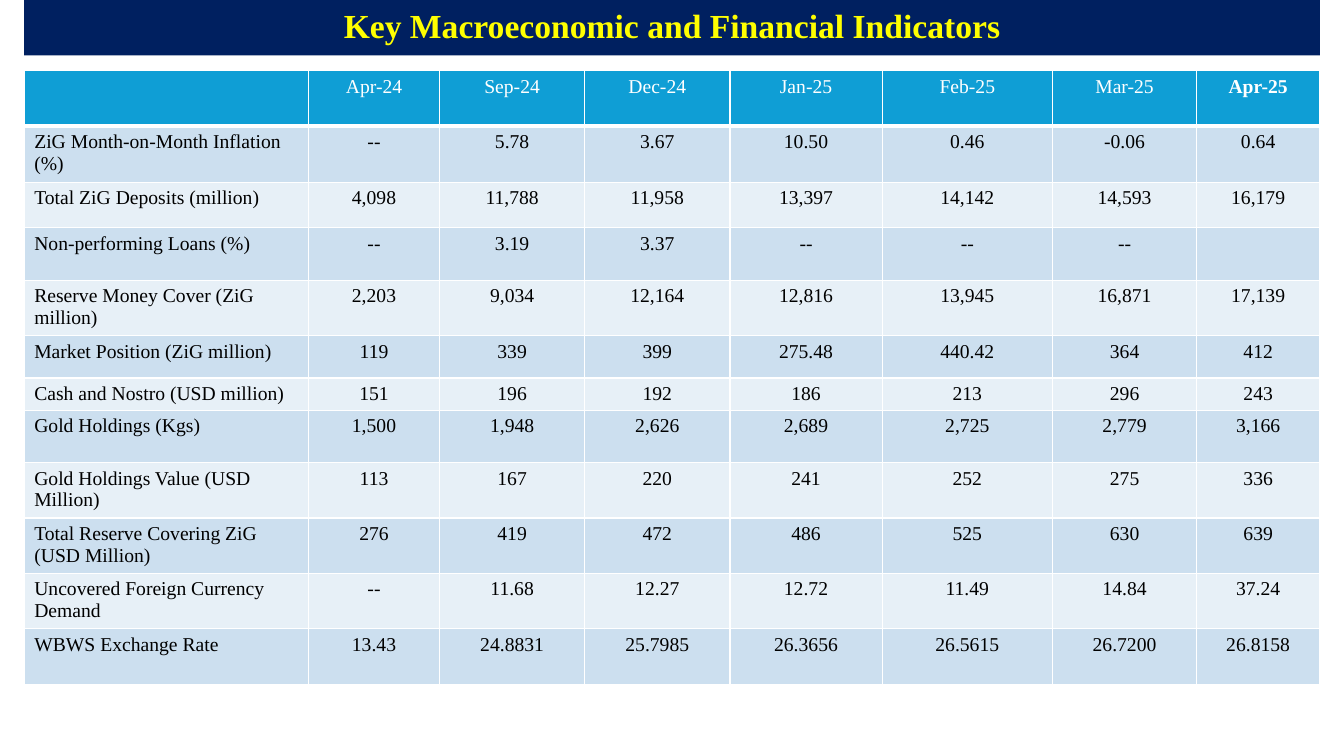
from dataclasses import dataclass

from lxml.etree import SubElement
from pptx import Presentation
from pptx.dml.color import RGBColor
from pptx.enum.shapes import MSO_SHAPE as Shape
from pptx.enum.text import MSO_ANCHOR as Anchor, PP_ALIGN as Align
from pptx.oxml.ns import qn
from pptx.util import Inches, Pt


@dataclass(frozen=True)
class Theme:
    font: str = "Times New Roman"
    title_size: int = 24
    table_size: int = 14
    title_fill: str = "002060"
    title_text: str = "FFFF00"
    header_fill: str = "0F9ED5"
    header_text: str = "FFFFFF"
    body_text: str = "000000"
    bands: tuple = ("CCDFEF", "E7F0F7")
    border: str = "FFFFFF"


LEFT, WIDTH = 0.24, 12.85
COLUMN_WIDTHS = [2.82, 1.3, 1.44, 1.44, 1.51, 1.69, 1.43, 1.22]
ROW_HEIGHTS = [0.55, 0.56, 0.45, 0.52, 0.55, 0.42, 0.32, 0.52, 0.55, 0.55, 0.55, 0.55]
INDICATORS = [
    ["", "Apr-24", "Sep-24", "Dec-24", "Jan-25", "Feb-25", "Mar-25", "Apr-25"],
    ["ZiG Month-on-Month Inflation (%)", "--", "5.78", "3.67", "10.50", "0.46", "-0.06", "0.64"],
    ["Total ZiG Deposits (million)", "4,098", "11,788", "11,958", "13,397", "14,142", "14,593", "16,179"],
    ["Non-performing Loans (%)", "--", "3.19", "3.37", "--", "--", "--", ""],
    ["Reserve Money Cover (ZiG million)", "2,203", "9,034", "12,164", "12,816", "13,945", "16,871", "17,139"],
    ["Market Position (ZiG million)", "119", "339", "399", "275.48", "440.42", "364", "412"],
    ["Cash and Nostro (USD million)", "151", "196", "192", "186", "213", "296", "243"],
    ["Gold Holdings (Kgs)", "1,500", "1,948", "2,626", "2,689", "2,725", "2,779", "3,166"],
    ["Gold Holdings Value (USD Million)", "113", "167", "220", "241", "252", "275", "336"],
    ["Total Reserve Covering ZiG (USD Million)", "276", "419", "472", "486", "525", "630", "639"],
    ["Uncovered Foreign Currency Demand", "--", "11.68", "12.27", "12.72", "11.49", "14.84", "37.24"],
    ["WBWS Exchange Rate", "13.43", "24.8831", "25.7985", "26.3656", "26.5615", "26.7200", "26.8158"],
]


class SlideBuilder:
    def __init__(self, slide, theme):
        self.slide = slide
        self.theme = theme

    def add_run(self, paragraph, text, size, color, bold=False):
        run = paragraph.add_run()
        run.text = text
        run.font.name = self.theme.font
        run.font.size = Pt(size)
        run.font.bold = bold
        run.font.color.rgb = RGBColor.from_string(color)

    def add_title(self, text, left, top, width, height):
        theme = self.theme
        banner = self.slide.shapes.add_shape(
            Shape.RECTANGLE, Inches(left), Inches(top), Inches(width), Inches(height))
        banner.shadow.inherit = False
        banner.fill.solid()
        banner.fill.fore_color.rgb = RGBColor.from_string(theme.title_fill)
        banner.line.fill.background()
        banner.text_frame.word_wrap = True
        banner.text_frame.vertical_anchor = Anchor.MIDDLE
        paragraph = banner.text_frame.paragraphs[0]
        paragraph.alignment = Align.CENTER
        paragraph.line_spacing = 0.9
        self.add_run(paragraph, text, theme.title_size, theme.title_text, bold=True)

    def style_cell(self, cell, fill, bottom_width):
        """Draw the four borders, then the fill, in the order the schema requires."""
        properties = cell._tc.get_or_add_tcPr()
        for side, width in (("L", 1), ("R", 1), ("T", 1), ("B", bottom_width)):
            line = SubElement(properties, qn(f"a:ln{side}"), w=str(Pt(width)))
            solid = SubElement(line, qn("a:solidFill"))
            SubElement(solid, qn("a:srgbClr"), val=self.theme.border)
        cell.fill.solid()
        cell.fill.fore_color.rgb = RGBColor.from_string(fill)

    def add_table(self, rows, left, top, column_widths, row_heights):
        theme = self.theme
        table = self.slide.shapes.add_table(
            len(rows), len(column_widths), Inches(left), Inches(top),
            Inches(sum(column_widths)), Inches(sum(row_heights))).table
        for column, width in zip(table.columns, column_widths):
            column.width = Inches(width)
        for row, height in zip(table.rows, row_heights):
            row.height = Inches(height)
        last_column = len(column_widths) - 1
        for row_index, values in enumerate(rows):
            is_header = row_index == 0
            fill = theme.header_fill if is_header else theme.bands[(row_index - 1) % 2]
            color = theme.header_text if is_header else theme.body_text
            for column_index, text in enumerate(values):
                cell = table.cell(row_index, column_index)
                self.style_cell(cell, fill, bottom_width=3 if is_header else 1)
                paragraph = cell.text_frame.paragraphs[0]
                paragraph.alignment = Align.CENTER if column_index else Align.LEFT
                if text:
                    self.add_run(paragraph, text, theme.table_size, color,
                                 bold=is_header and column_index == last_column)


def main():
    presentation = Presentation()
    presentation.slide_width = Inches(13.33)
    presentation.slide_height = Inches(7.5)
    slide = presentation.slides.add_slide(presentation.slide_layouts[6])
    builder = SlideBuilder(slide, Theme())
    builder.add_title("Key Macroeconomic and Financial Indicators", LEFT, 0, WIDTH, 0.55)
    builder.add_table(INDICATORS, LEFT, 0.7, COLUMN_WIDTHS, ROW_HEIGHTS)
    presentation.save("out.pptx")


if __name__ == "__main__":
    main()
